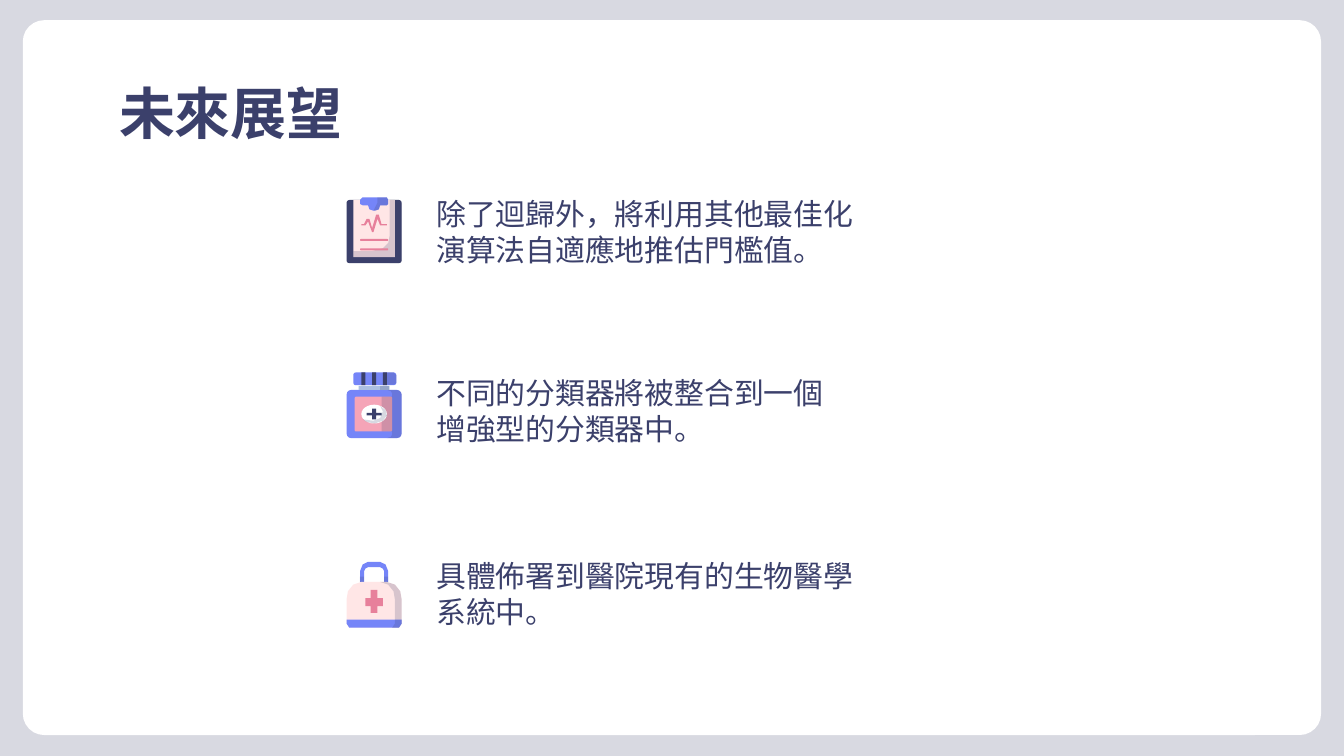
import dataclasses

import lxml.etree
import pptx
import pptx.dml.color
import pptx.enum.shapes
import pptx.enum.text
import pptx.oxml.ns
import pptx.util

Cm = pptx.util.Cm
RGBColor = pptx.dml.color.RGBColor
RECT = pptx.enum.shapes.MSO_SHAPE.RECTANGLE
ROUND = pptx.enum.shapes.MSO_SHAPE.ROUNDED_RECTANGLE
OVAL = pptx.enum.shapes.MSO_SHAPE.OVAL


@dataclasses.dataclass(frozen=True)
class Theme:
    backdrop: str = "D8D9E1"
    white: str = "FFFFFF"
    indigo: str = "3B406B"
    blue: str = "7585F8"
    pale_blue: str = "ACBFE2"
    blush: str = "FFE6E6"
    pink: str = "F5A4B7"
    rose: str = "E7809B"
    shade: str = "shade"  # indigo at 20 % opacity
    title_font: str = "Montserrat"
    body_font: str = "Arial"
    title_size: int = 30
    body_size: int = 16


theme = Theme()
UNIT = Cm(2.54) / 100  # icon grid step


def write(text, left, top, width, height, size, font, bold=False):
    box = page.shapes.add_textbox(Cm(left), Cm(top), Cm(width), Cm(height))
    frame = box.text_frame
    frame.word_wrap = True
    frame.vertical_anchor = pptx.enum.text.MSO_ANCHOR.TOP
    frame.margin_left = frame.margin_right = Cm(0.25)
    frame.margin_top = frame.margin_bottom = Cm(0.25)
    for index, line in enumerate(text.split("\n")):
        para = frame.paragraphs[0] if index == 0 else frame.add_paragraph()
        span = para.add_run()
        span.text = line
        span.font.name = font
        span.font.size = pptx.util.Pt(size)
        span.font.bold = bold
        span.font.color.rgb = RGBColor.from_string(theme.indigo)


def draw(shapes, outline, fill, left, top):
    """Draw a point list, or a (preset, x, y, width, height[, rounding]) tuple, in grid units."""
    if isinstance(outline, list):
        builder = shapes.build_freeform(*outline[0], scale=UNIT)
        builder.add_line_segments(outline[1:], close=True)
        shape = builder.convert_to_shape(left, top)
    else:
        preset, x, y, width, height, *rounding = outline
        shape = shapes.add_shape(preset, int(left + x * UNIT), int(top + y * UNIT),
                                 int(width * UNIT), int(height * UNIT))
        if rounding:
            shape.adjustments[0] = rounding[0]
    shape.shadow.inherit = False
    shape.line.fill.background()
    shape.fill.solid()
    shaded = fill == theme.shade
    shape.fill.fore_color.rgb = RGBColor.from_string(theme.indigo if shaded else fill)
    if shaded:
        color = next(shape._element.spPr.iter(pptx.oxml.ns.qn("a:srgbClr")))
        lxml.etree.SubElement(color, pptx.oxml.ns.qn("a:alpha"), val="20000")


deck = pptx.Presentation()
deck.slide_width, deck.slide_height = Cm(25.4), Cm(14.29)
page = deck.slides.add_slide(deck.slide_layouts[6])

# Backdrop and white panel
page.background.fill.solid()
page.background.fill.fore_color.rgb = RGBColor.from_string(theme.backdrop)
draw(page.shapes, (ROUND, 17, 15, 966, 532, 0.03), theme.white, 0, 0)

# Title
write("未來展望", 2, 1.24, 21.41, 1.6, theme.title_size, theme.title_font, bold=True)

# Icon parts, back to front, on a grid that starts at the icon's top left
clipboard = [
    ((ROUND, 0, 2, 41, 47, 0.05), theme.indigo),
    ([(32, 2), (34, 5), (34, 47), (32, 49), (39, 49), (41, 47), (41, 5), (39, 2)], theme.shade),
    ((RECT, 5, 2, 31, 42.5), theme.blush),
    ([(32, 2), (32, 29), (31, 34), (27, 38), (19, 40), (5, 40), (5, 45), (36, 45), (36, 2)],
     theme.shade),
    ([(12, 0), (10, 2), (10, 5), (12, 6), (16, 6), (17, 9), (20, 10), (21, 10), (24, 9),
      (25, 6), (30, 6), (31, 5), (31, 2), (30, 0)], theme.blue),
    ([(23, 0), (23, 4), (20, 10), (21, 10), (24, 9), (25, 6), (30, 6), (31, 5), (31, 2),
      (30, 0)], theme.shade),
    ([(22, 13), (19, 23), (17, 16), (15, 16), (13, 20), (11, 20), (11, 21), (14, 21), (16, 18),
      (19, 26), (20, 26), (23, 16), (25, 21), (30, 21), (30, 20), (26, 20), (24, 13)],
     theme.rose),
    *[((ROUND, 10, y, 21, 1.5, 0.5), theme.rose) for y in (31, 38)],
]
bottle = [
    ((ROUND, 0, 13, 41, 36, 0.1), theme.blue),
    ([(30, 13), (33, 14), (34, 16), (34, 46), (33, 48), (30, 49), (37, 49), (40, 48), (41, 46),
      (41, 16), (40, 14), (37, 13)], theme.shade),
    ((RECT, 9, 10, 23, 3), theme.pale_blue),
    ((RECT, 25, 10, 7, 3), theme.shade),
    ((ROUND, 5, 0, 32, 9.5, 0.2), theme.blue),
    ([(28, 0), (28, 9), (35, 9), (37, 8), (37, 2), (35, 0)], theme.shade),
    ((ROUND, 6, 18, 28, 26, 0.05), theme.pink),
    ((RECT, 26, 18, 8, 26), theme.shade),
    ((OVAL, 11, 24, 19, 14), theme.white),
    ([(25, 25), (27, 29), (25, 34), (20, 36), (12, 35), (15, 37), (21, 38), (27, 36), (30, 32),
      (29, 28)], theme.shade),
    ([(19, 27), (22, 27), (22, 30), (26, 30), (26, 32), (22, 32), (22, 35), (19, 35), (19, 32),
      (15, 32), (15, 30), (19, 30)], theme.indigo),
    *[((RECT, x, 0, 3, 9.5), theme.indigo) for x in (11, 19, 27)],
]
bag = [
    ([(10, 15), (10, 7), (12, 2), (16, 0), (25, 0), (29, 2), (31, 7), (31, 15), (28, 15),
      (28, 7), (27, 5), (25, 4), (16, 4), (14, 5), (13, 7), (13, 15)], theme.blue),
    *[((RECT, x, 11, 3, 4), theme.shade) for x in (10, 28)],
    ([(11, 15), (5, 17), (1, 22), (0, 28), (0, 46), (2, 49), (39, 49), (41, 46), (41, 28),
      (40, 22), (36, 17), (30, 15)], theme.blush),
    ([(25, 15), (31, 17), (35, 22), (36, 28), (36, 46), (34, 49), (39, 49), (41, 46), (41, 28),
      (40, 22), (36, 17), (30, 15)], theme.shade),
    ([(0, 43), (0, 46), (2, 49), (39, 49), (41, 46), (41, 43)], theme.blue),
    ([(36, 43), (36, 46), (34, 49), (39, 49), (41, 46), (41, 43)], theme.shade),
    ([(18, 21), (23, 21), (23, 27), (27, 27), (27, 33), (23, 33), (23, 38), (18, 38), (18, 33),
      (14, 33), (14, 27), (18, 27)], theme.rose),
]

# Rows: icon, icon top, text top, text width, text height, text
rows = [
    (clipboard, 3.73, 3.45, 8.69, 1.6, "除了迴歸外，將利用其他最佳化演算法自適應地推估門檻值。"),
    (bottle, 7.04, 6.83, 8.51, 1.68, "不同的分類器將被整合到一個\n增強型的分類器中。"),
    (bag, 10.62, 10.29, 8.51, 1.68, "具體佈署到醫院現有的生物醫學系統中。"),
]
for icon, icon_top, text_top, width, height, text in rows:
    write(text, 8, text_top, width, height, theme.body_size, theme.body_font)
    group = page.shapes.add_group_shape()
    for outline, fill in icon:
        draw(group.shapes, outline, fill, Cm(6.55), Cm(icon_top))

deck.save("out.pptx")
